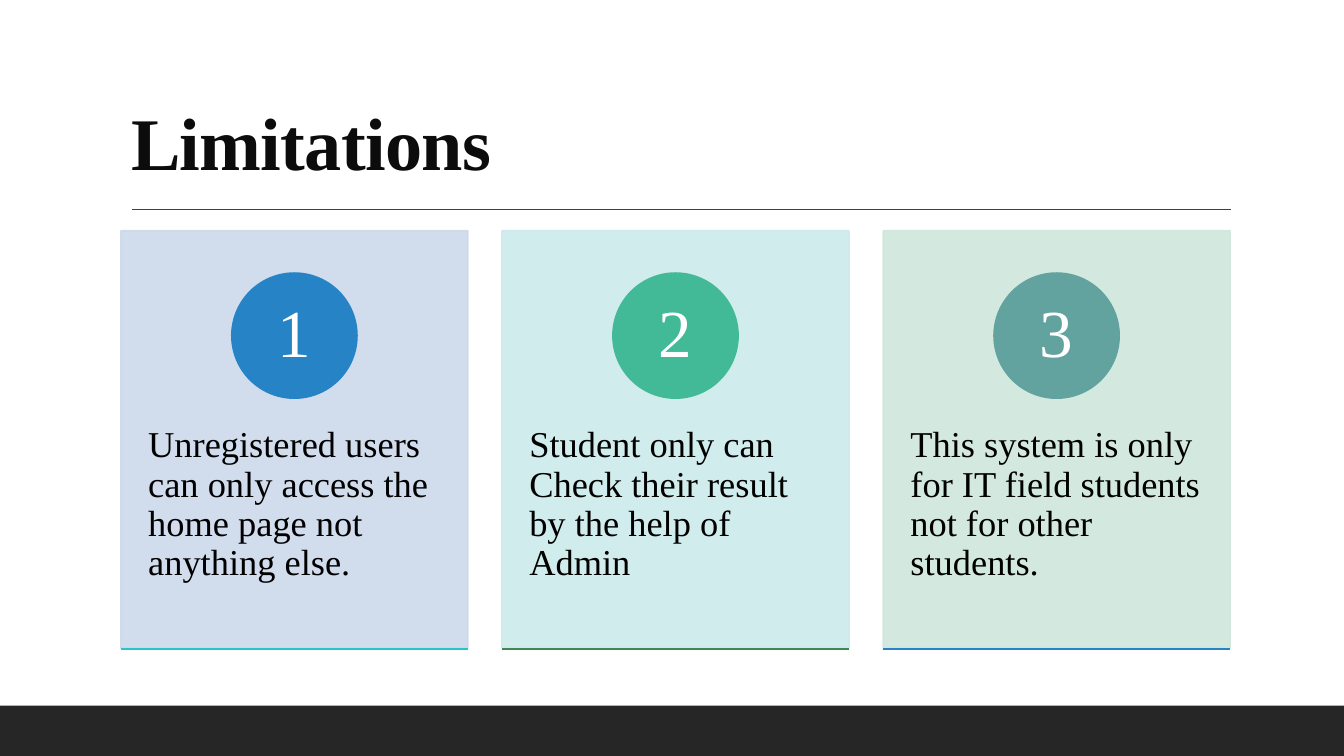
from pptx import Presentation
from pptx.dml.color import RGBColor
from pptx.enum import shapes, text
from pptx.oxml.ns import qn
from pptx.util import Inches, Pt
from lxml import etree

TITLE = "Limitations"
CARDS = [
    ("Unregistered users can only access the home page not anything else.",
     "CDD9EA", "2683C6", "28C4CC"),
    ("Student only can Check their result by the help of Admin",
     "CDEAEC", "42BA97", "3E8853"),
    ("This system is only for IT field students not for other students.",
     "CFE7DD", "62A39F", "2683C6"),
]
FONT = "Times New Roman"
LEFT, TOP, WIDE, HIGH, STEP = 1.2, 2.29, 3.44, 4.14, 3.78
DISC = 1.24


def color(code):
    return RGBColor.from_string(code)


def fade(part, alpha):
    for tone in part.iter(qn("a:srgbClr")):
        etree.SubElement(tone, qn("a:alpha")).set("val", str(alpha * 1000))


def box(kind, x, y, w, h, fill, line=None):
    part = slide.shapes.add_shape(kind, Inches(x), Inches(y), Inches(w), Inches(h))
    part.shadow.inherit = False
    part.fill.solid()
    part.fill.fore_color.rgb = color(fill)
    if line:
        part.line.color.rgb = color(fill)
        part.line.width = Pt(line)
    else:
        part.line.fill.background()
    return part


def rule(x, y, w, tone, width):
    part = slide.shapes.add_connector(
        shapes.MSO_CONNECTOR.STRAIGHT, Inches(x), Inches(y), Inches(x + w), Inches(y))
    part.line.color.rgb = color(tone)
    part.line.width = Pt(width)
    etree.SubElement(part._element.spPr, qn("a:effectLst"))


def write(part, words, size, tone, bold=False, align=text.PP_ALIGN.LEFT,
          anchor=text.MSO_ANCHOR.TOP, pad=(0.1, 0.05), track=None):
    frame = part.text_frame
    frame.word_wrap = True
    frame.auto_size = text.MSO_AUTO_SIZE.NONE
    frame.vertical_anchor = anchor
    frame.margin_left = frame.margin_right = Inches(pad[0])
    frame.margin_top = frame.margin_bottom = Inches(pad[1])
    para = frame.paragraphs[0]
    para.alignment = align
    para.line_spacing = 0.9
    run = para.add_run()
    run.text = words
    font = run.font
    font.name, font.size, font.bold = FONT, Pt(size), bold
    font.color.rgb = color(tone)
    if track:
        run._r.get_or_add_rPr().set("spc", str(track))


deck = Presentation()
deck.slide_width, deck.slide_height = Inches(13.33), Inches(7.5)
slide = deck.slides.add_slide(deck.slide_layouts[5])
slide.background.fill.solid()
slide.background.fill.fore_color.rgb = color("FFFFFF")

title = slide.shapes.title
title.left, title.top = Inches(LEFT), Inches(0.31)
title.width, title.height = Inches(11), Inches(1.59)
write(title, TITLE, 53, "0D0C0C", bold=True, anchor=text.MSO_ANCHOR.BOTTOM, track=-50)

rule(1.31, 2.08, 10.9, "404040", 1)
RECT = shapes.MSO_SHAPE.RECTANGLE
box(RECT, 0, 7, 13.33, 0.5, "262626")

for i, (words, pale, deep, edge) in enumerate(CARDS):
    x = LEFT + i * STEP
    card = box(RECT, x, TOP, WIDE, HIGH, pale, 1.25)
    fade(card._element.spPr, 90)
    note = slide.shapes.add_textbox(Inches(x), Inches(3.87), Inches(WIDE), Inches(2.48))
    write(note, words, 26, "000000", pad=(0.27, 0.36))
    disc = box(shapes.MSO_SHAPE.OVAL, x + (WIDE - DISC) / 2, 2.71, DISC, DISC, deep, 1.25)
    write(disc, str(i + 1), 48, "FFFFFF", align=text.PP_ALIGN.CENTER,
          anchor=text.MSO_ANCHOR.MIDDLE, pad=(0.1, 0.01))
    rule(x, 6.44, WIDE, edge, 1.25)

deck.save("out.pptx")
